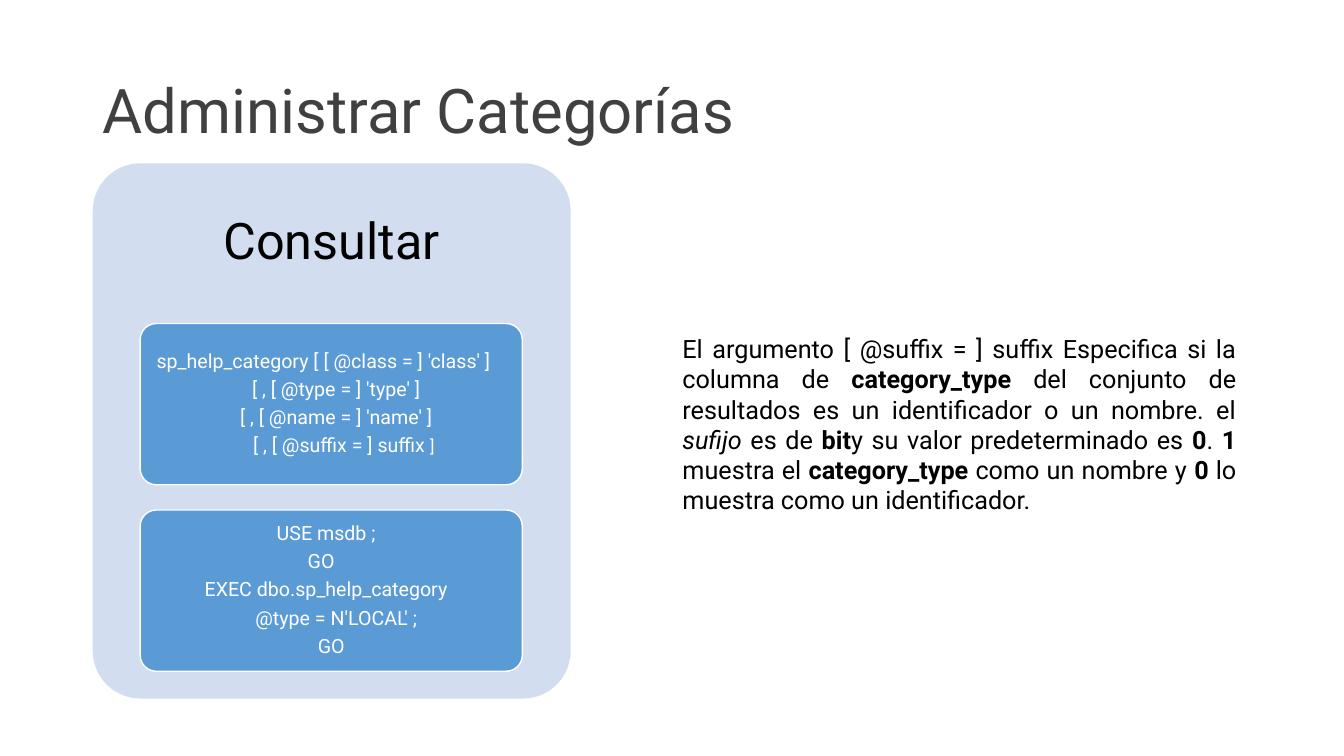
"""Build the slide on querying job categories."""
from dataclasses import dataclass

from pptx import Presentation
from pptx.dml.color import RGBColor
from pptx.enum.shapes import MSO_SHAPE
from pptx.enum.text import MSO_ANCHOR, PP_ALIGN
from pptx.util import Inches, Pt


@dataclass(frozen=True)
class Theme:
    font: str = "Roboto"
    title_color: str = "404040"
    text_color: str = "000000"
    white: str = "FFFFFF"
    panel_fill: str = "D2DEEF"
    card_fill: str = "5B9BD5"
    title_size: int = 44
    heading_size: int = 36
    body_size: int = 18
    code_size: int = 14
    bracket_size: int = 12


theme = Theme()


def add_run(paragraph, text, size, color, style=""):
    run = paragraph.add_run()
    run.text = text
    run.font.name = theme.font
    run.font.size = Pt(size)
    run.font.color.rgb = RGBColor.from_string(color)
    run.font.bold = style == "bold"
    run.font.italic = style == "italic"


def add_rounded_box(left, top, width, height, fill):
    shape = slide.shapes.add_shape(
        MSO_SHAPE.ROUNDED_RECTANGLE, Inches(left), Inches(top), Inches(width), Inches(height)
    )
    shape.adjustments[0] = 0.1
    shape.shadow.inherit = False
    shape.fill.solid()
    shape.fill.fore_color.rgb = RGBColor.from_string(fill)
    shape.line.fill.background()
    return shape


presentation = Presentation()
presentation.slide_width = Inches(13.33)
presentation.slide_height = Inches(7.5)
slide = presentation.slides.add_slide(presentation.slide_layouts[6])

title = slide.shapes.add_textbox(Inches(0.92), Inches(0.4), Inches(11.5), Inches(1.45))
title.text_frame.word_wrap = True
title.text_frame.vertical_anchor = MSO_ANCHOR.MIDDLE
paragraph = title.text_frame.paragraphs[0]
paragraph.line_spacing = 0.9
add_run(paragraph, "Administrar Categorías", theme.title_size, theme.title_color)

add_rounded_box(0.92, 1.62, 4.74, 5.31, theme.panel_fill)

heading = slide.shapes.add_textbox(Inches(0.92), Inches(1.62), Inches(4.74), Inches(1.59))
heading.text_frame.word_wrap = True
heading.text_frame.vertical_anchor = MSO_ANCHOR.MIDDLE
paragraph = heading.text_frame.paragraphs[0]
paragraph.alignment = PP_ALIGN.CENTER
paragraph.line_spacing = 0.9
add_run(paragraph, "Consultar", theme.heading_size, theme.text_color)

code = theme.code_size
cards = [
    (0.15, [
        (0, [("sp_help_category [ [ @class = ] 'class' ]", code)]),
        (0.25, [("[ , [ @type = ] 'type' ]", code)]),
        (0.25, [("[ , [ @name = ] 'name' ]", code)]),
        (0.4, [("[ , [ @suffix = ] suffix ", code), ("]", theme.bracket_size)]),
    ]),
    (0.2, [
        (0.1, [("USE msdb ;", code)]),
        (0, [("GO", code)]),
        (0.1, [("EXEC dbo.sp_help_category", code)]),
        (0.3, [("@type = N'LOCAL' ;", code)]),
        (0.2, [("GO", code)]),
    ]),
]
for card_index, (right_space, lines) in enumerate(cards):
    card = add_rounded_box(1.39, 3.21 + 1.85 * card_index, 3.79, 1.6, theme.card_fill)
    card.line.color.rgb = RGBColor.from_string(theme.white)
    card.line.width = Pt(1)
    frame = card.text_frame
    frame.word_wrap = True
    frame.vertical_anchor = MSO_ANCHOR.MIDDLE
    frame.margin_left = Inches(0.04)
    frame.margin_right = Inches(0.04 + right_space)
    frame.margin_top = frame.margin_bottom = Inches(0.03)
    for line_index, (indent, runs) in enumerate(lines):
        paragraph = frame.add_paragraph() if line_index else frame.paragraphs[0]
        paragraph.alignment = PP_ALIGN.CENTER
        paragraph.line_spacing = 0.9
        paragraph.space_after = Pt(5)
        properties = paragraph._p.get_or_add_pPr()
        properties.set("marL", str(Inches(indent)))
        properties.set("indent", "0")
        for text, size in runs:
            add_run(paragraph, text, size, theme.white)

explanation = slide.shapes.add_textbox(Inches(6.67), Inches(3.26), Inches(5.69), Inches(1.92))
explanation.text_frame.word_wrap = True
paragraph = explanation.text_frame.paragraphs[0]
paragraph.alignment = PP_ALIGN.JUSTIFY
explanation_runs = [
    ("El argumento [ @suffix = ] suffix Especifica si la columna de ", ""),
    ("category_type", "bold"),
    (" del conjunto de resultados es un identificador o un nombre. el ", ""),
    ("sufijo", "italic"),
    (" es de ", ""),
    ("bit", "bold"),
    ("y su valor predeterminado es ", ""),
    ("0", "bold"),
    (". ", ""),
    ("1", "bold"),
    (" muestra el ", ""),
    ("category_type", "bold"),
    (" como un nombre y ", ""),
    ("0", "bold"),
    (" lo muestra como un identificador.", ""),
]
for text, style in explanation_runs:
    add_run(paragraph, text, theme.body_size, theme.text_color, style)

presentation.save("out.pptx")
